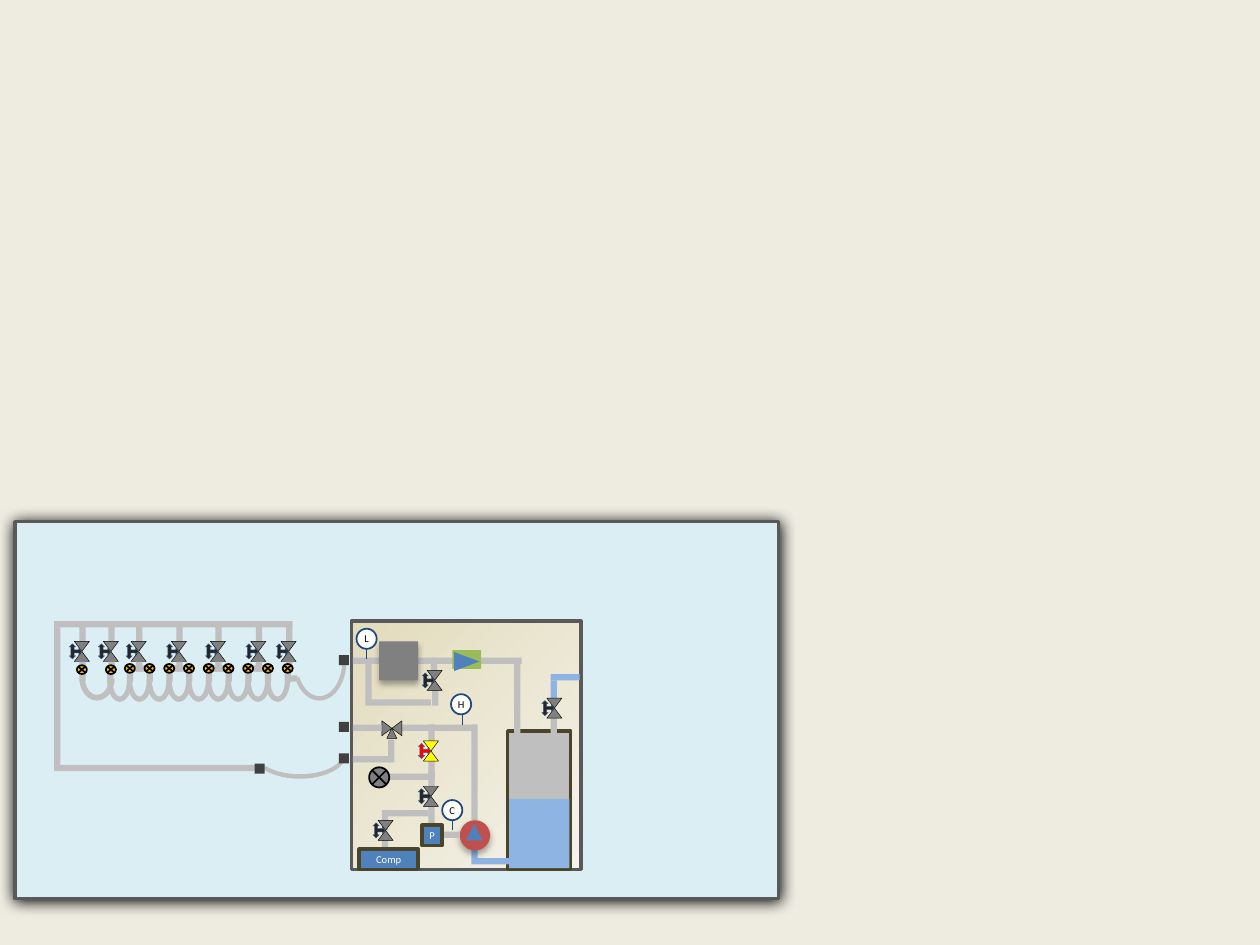
from lxml.etree import SubElement
from pptx import Presentation
from pptx.dml.color import RGBColor
from pptx.enum.shapes import MSO_CONNECTOR, MSO_SHAPE as Geo
from pptx.enum.text import MSO_ANCHOR, PP_ALIGN
from pptx.oxml.ns import qn
from pptx.util import Inches, Pt

GREY, DARK, STEEL, BLUE, WATER = "BFBFBF", "404040", "808080", "4F81BD", "8EB4E3"
EDGE, BROWN, THIN = ("595959", 2), ("4A452A", 2), ("000000", 0.25)
WIDE = 0.05
STEP = 1.41 / 9
DROPS = [0.63, 0.86, 1.08, 1.4, 1.71, 2.03, 2.27]


def tint(code):
    """Return the colour of a hex string."""
    return RGBColor.from_string(code)


def draw(parts, geo, x, y, w, h, fill, line=None, turn=0):
    """Add a preset shape with a plain fill and an optional outline."""
    shape = parts.add_shape(geo, Inches(x), Inches(y), Inches(w), Inches(h))
    shape.shadow.inherit = False
    shape.rotation = turn
    shape.fill.solid()
    shape.fill.fore_color.rgb = tint(fill)
    if line:
        shape.line.color.rgb = tint(line[0])
        shape.line.width = Pt(line[1])
    else:
        shape.line.fill.background()
    return shape


def shade(shape, alpha, blur, gap):
    """Cast a black shadow straight down."""
    glow = shape._element.spPr.find(qn("a:effectLst"))
    outer = SubElement(glow, qn("a:outerShdw"), blurRad=str(Pt(blur)),
                       dist=str(Pt(gap)), dir="5400000", rotWithShape="0")
    black = SubElement(outer, qn("a:srgbClr"), val="000000")
    SubElement(black, qn("a:alpha"), val=str(alpha * 1000))


def label(shape, text, color):
    """Centre a small label in a shape."""
    frame = shape.text_frame
    frame.margin_left = frame.margin_right = frame.margin_top = frame.margin_bottom = 0
    frame.word_wrap = False
    frame.vertical_anchor = MSO_ANCHOR.MIDDLE
    para = frame.paragraphs[0]
    para.text = text
    para.alignment = PP_ALIGN.CENTER
    para.font.size = Pt(6)
    para.font.name = "Calibri"
    para.font.color.rgb = tint(color)


def down(parts, x, y, size, fill=GREY):
    """Add an upright pipe."""
    draw(parts, Geo.RECTANGLE, x, y, WIDE, size, fill)


def across(parts, x, y, size, fill=GREY):
    """Add a level pipe."""
    draw(parts, Geo.RECTANGLE, x, y, size, WIDE, fill)


def bend(parts, x, y, w, h, start, end, thick):
    """Add a hanging curved pipe."""
    arc = draw(parts, Geo.BLOCK_ARC, x, y, w, h, GREY, turn=180)
    for i, value in enumerate((start, end, thick)):
        arc.adjustments[i] = value


def valve(parts, x, y, body=STEEL, grip="262626"):
    """Add a valve with its handle as one group."""
    group = parts.add_group_shape().shapes
    draw(group, Geo.FLOWCHART_COLLATE, x, y, 0.12, 0.16, body, THIN, 180)
    draw(group, Geo.LEFT_RIGHT_UP_ARROW, x - 0.05, y + 0.03, 0.12, 0.1,
         grip, ("3A5F8C", 0.25), 90)


def mixer(parts, x, y):
    """Add a three-way valve as one group."""
    group = parts.add_group_shape().shapes
    draw(group, Geo.FLOWCHART_COLLATE, x, y, 0.12, 0.16, STEEL, THIN, 90)
    draw(group, Geo.ISOSCELES_TRIANGLE, x + 0.02, y + 0.08, 0.08, 0.08, STEEL, THIN)


def port(parts, x, y):
    """Add a square hose port."""
    draw(parts, Geo.RECTANGLE, x, y, 0.08, 0.08, DARK)


def gauge(parts, text, x, y, stem):
    """Add a lettered gauge on a short stem."""
    dial = draw(parts, Geo.OVAL, x, y, 0.16, 0.16, "FFFFFF", ("1F497D", 1))
    label(dial, text, "000000")
    pin = parts.add_connector(MSO_CONNECTOR.STRAIGHT, Inches(stem), Inches(y + 0.24),
                              Inches(stem), Inches(y + 0.16))
    pin.line.color.rgb = tint("1F497D")
    pin.line.width = Pt(0.75)
    SubElement(pin._element.spPr, qn("a:effectLst"))


def frame(parts):
    """Add the room, the cabinet and the tank."""
    room = draw(parts, Geo.RECTANGLE, 0.12, 4.14, 6.06, 2.99, "DBEEF4", EDGE)
    shade(room, 100, 8.5, 1)
    case = draw(parts, Geo.RECTANGLE, 2.79, 4.93, 1.82, 1.97, "F5F3EA", EDGE)
    case.fill.gradient()
    case.fill.gradient_angle = 315
    for stop, code in zip(case.fill.gradient_stops, ("E2DBBC", "F5F3EA")):
        stop.color.rgb = tint(code)
    draw(parts, Geo.RECTANGLE, 4.03, 5.8, 0.5, 1.1, GREY, BROWN)
    across(parts, 3.74, 6.81, 0.71, WATER)
    down(parts, 3.74, 6.74, 0.07, WATER)
    draw(parts, Geo.RECTANGLE, 4.04, 6.34, 0.48, 0.55, WATER)


def supply(parts):
    """Add the pump, the mixer and the outer return line."""
    down(parts, 3.74, 5.75, 0.76)
    across(parts, 3.19, 5.75, 0.56)
    across(parts, 3.09, 6.14, 0.36)
    down(parts, 3.4, 6.03, 0.16)
    pump = draw(parts, Geo.OVAL, 3.65, 6.51, 0.24, 0.24, "C0504D")
    shade(pump, 32, 3.5, 2.2)
    draw(parts, Geo.ISOSCELES_TRIANGLE, 3.7, 6.54, 0.13, 0.13, BLUE)
    for x, y, size in ((4.08, 5.25, 0.59), (4.37, 5.66, 0.39), (3.4, 5.75, 0.16)):
        down(parts, x, y, size)
    draw(parts, Geo.FLOWCHART_SUMMING_JUNCTION, 2.93, 6.09, 0.16, 0.16,
         STEEL, ("000000", 1))
    mixer(parts, 3.05, 5.7)
    across(parts, 4.37, 5.35, 0.23, WATER)
    across(parts, 2.8, 5.75, 0.23)
    down(parts, 3.08, 5.87, 0.18)
    across(parts, 2.8, 6, 0.31)
    bend(parts, 2.01, 5.79, 0.74, 0.39, 108, 204.2, 0.09)
    port(parts, 2.69, 5.73)
    across(parts, 0.43, 6.07, 1.65)
    port(parts, 2.02, 6.06)
    down(parts, 0.43, 4.93, 1.15)
    across(parts, 0.47, 4.93, 1.85)


def rack(parts):
    """Add the row of valves, junctions and looped hoses."""
    for x in DROPS:
        down(parts, x, 4.93, 0.18)
        valve(parts, x - 0.04, 5.09)
        down(parts, x, 5.25, 0.08)
    for x in DROPS[2:6]:
        across(parts, x - 0.04, 5.28, 0.13)
    for x in [0.63] + [0.85 + STEP * i for i in range(10)]:
        down(parts, x, 5.33, 0.08)
    spots = [(0.61, 5.28), (0.84, 5.28)] + [(0.99 + STEP * i, 5.27) for i in range(9)]
    for x, y in spots:
        draw(parts, Geo.FLOWCHART_SUMMING_JUNCTION, x, y, 0.08, 0.07,
             "FFC000", ("000000", 1))
    bend(parts, 0.63, 5.21, 0.28, 0.35, 108, 214.8, 0.16)
    for i in range(9):
        bend(parts, 0.85 + STEP * i, 5.22, 0.2, 0.35, 108, 213.05, 0.21)
    across(parts, 2.31, 5.36, 0.05)
    bend(parts, 2.32, 4.93, 0.43, 0.63, 111.1, 193.42, 0.08)
    port(parts, 2.69, 5.2)


def inlet(parts):
    """Add the upper line with its filter, bypass and flow sign."""
    across(parts, 2.8, 5.22, 1.34)
    block = draw(parts, Geo.RECTANGLE, 3.01, 5.09, 0.31, 0.31, STEEL)
    shade(block, 32, 3.5, 2.2)
    down(parts, 2.9, 5.27, 0.29)
    across(parts, 2.9, 5.55, 0.52)
    down(parts, 3.43, 5.48, 0.12)
    draw(parts, Geo.RECTANGLE, 3.59, 5.16, 0.23, 0.15, "9BBB59")
    draw(parts, Geo.ISOSCELES_TRIANGLE, 3.63, 5.15, 0.15, 0.2, BLUE, turn=90)
    port(parts, 2.69, 5.98)
    valve(parts, 3.36, 5.88, "FFFF00", "FF0000")


def lower(parts):
    """Add the gauges, the sensor box and the compressor line."""
    for text, x, y, stem in (("L", 2.83, 4.99, 2.91), ("H", 3.58, 5.51, 3.67),
                             ("C", 3.51, 6.35, 3.59)):
        gauge(parts, text, x, y, stem)
    across(parts, 3.43, 6.6, 0.22)
    for x, y in ((3.4, 6.11), (3.03, 6.43), (3.4, 6.38)):
        down(parts, x, y, 0.16)
    down(parts, 4.37, 5.4, 0.16, WATER)
    down(parts, 3.42, 5.22, 0.12)
    across(parts, 3.04, 6.43, 0.36)
    down(parts, 3.03, 6.65, 0.12)
    for text, x, y, w in (("P", 3.35, 6.55, 0.16), ("Comp", 2.85, 6.74, 0.47)):
        label(draw(parts, Geo.RECTANGLE, x, y, w, 0.16, BLUE, BROWN), text, "FFFFFF")
    for x, y in ((3.36, 6.24), (3.39, 5.32), (4.34, 5.54), (3, 6.51)):
        valve(parts, x, y)


def main():
    """Build the slide and save it."""
    deck = Presentation()
    deck.slide_width, deck.slide_height = Inches(10), Inches(7.5)
    slide = deck.slides.add_slide(deck.slide_layouts[6])
    slide.background.fill.solid()
    slide.background.fill.fore_color.rgb = tint("EEECE1")
    for build in (frame, supply, rack, inlet, lower):
        build(slide.shapes)
    deck.save("out.pptx")


if __name__ == "__main__":
    main()
